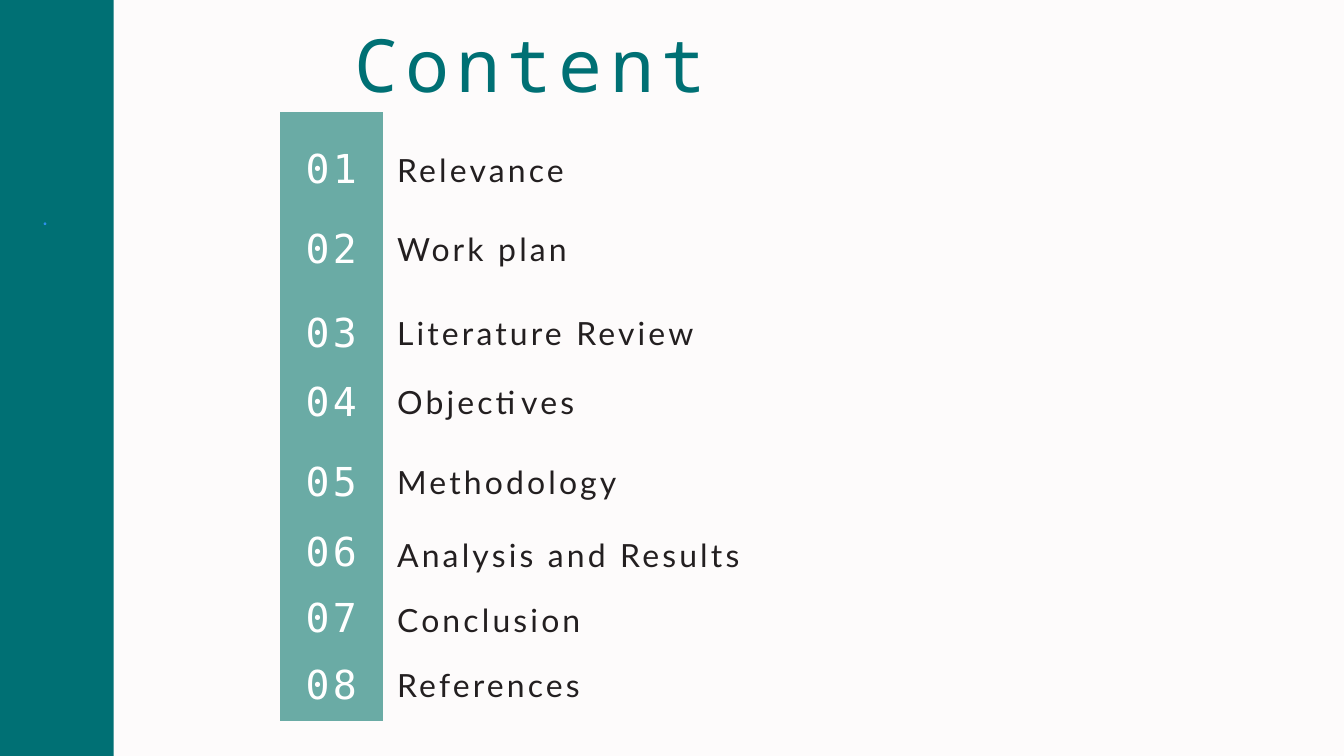
from pptx import Presentation
from pptx import util as u
from pptx.dml.color import RGBColor
from pptx.enum import shapes, text

COLORS = {
    "background": "FDFBFB",
    "teal": "007074",
    "sage": "6AABA5",
    "ink": "231F20",
    "white": "FFFFFF",
    "dot": "2D90EB",
}

# Entry, top of its number, top of its label (inches)
ENTRIES = [
    ("Relevance", 2.14, 2.15),
    ("Work plan", 3.32, 3.33),
    ("Literature Review", 4.57, 4.58),
    ("Objectives", 5.6, 5.61),
    ("Methodology", 6.79, 6.8),
    ("Analysis and Results", 7.84, 7.88),
    ("Conclusion", 8.82, 8.85),
    ("References", 9.81, 9.82),
]


class ContentPage:
    # font, size, colour, letter spacing, line spacing, alignment
    STYLES = {
        "title": ("Noto Sans Mono", 78.7, "teal", 7.7, 108.6, text.PP_ALIGN.LEFT),
        "number": ("DejaVu Sans Mono", 42.7, "white", 3.5, 51.3, text.PP_ALIGN.CENTER),
        "label": ("Lato", 34.2, "ink", 3.4, 47.2, text.PP_ALIGN.LEFT),
    }

    def __init__(self, deck):
        self.page = deck.slides.add_slide(deck.slide_layouts[5])
        self.paint(self.page.background, "background")

    def paint(self, target, color):
        target.fill.solid()
        target.fill.fore_color.rgb = RGBColor.from_string(COLORS[color])

    def shape(self, kind, color, *place):
        shape = self.page.shapes.add_shape(kind, *map(u.Inches, place))
        self.paint(shape, color)
        shape.line.fill.background()
        shape.shadow.inherit = False

    def set_text(self, box, words, style):
        font, size, color, tracking, leading, align = self.STYLES[style]
        frame = box.text_frame
        frame.word_wrap = True
        frame.auto_size = text.MSO_AUTO_SIZE.NONE
        frame.vertical_anchor = text.MSO_ANCHOR.TOP
        frame.margin_left = frame.margin_right = 0
        frame.margin_top = frame.margin_bottom = 0
        para = frame.paragraphs[0]
        para.alignment = align
        para.line_spacing = u.Pt(leading)
        para.font.name = font
        para.font.size = u.Pt(size)
        para.font.color.rgb = RGBColor.from_string(COLORS[color])
        span = para.add_run()
        span.text = words
        span._r.get_or_add_rPr().set("spc", str(round(tracking * 100)))

    def title(self, words, *place):
        box = self.page.shapes.title
        box.left, box.top, box.width, box.height = map(u.Inches, place)
        self.set_text(box, words, "title")

    def text(self, words, style, *place):
        box = self.page.shapes.add_textbox(*map(u.Inches, place))
        self.set_text(box, words, style)


def main():
    deck = Presentation()
    deck.slide_width, deck.slide_height = u.Inches(20), u.Inches(11.25)
    content = ContentPage(deck)

    rectangle = shapes.MSO_SHAPE.RECTANGLE
    content.shape(rectangle, "sage", 4.17, 1.67, 1.53, 9.06)
    content.shape(rectangle, "teal", 0, 0, 1.69, 11.25)
    content.shape(shapes.MSO_SHAPE.OVAL, "dot", 0.65, 3.31, 0.04, 0.04)

    content.title("Content", 5.27, 0.09, 6.19, 1.57)
    for index, (label, number_top, label_top) in enumerate(ENTRIES, start=1):
        content.text(f"{index:02}", "number", 4.42, number_top, 1.02, 0.78)
        content.text(label, "label", 5.91, label_top, 6.33, 0.63)

    deck.save("out.pptx")


if __name__ == "__main__":
    main()
